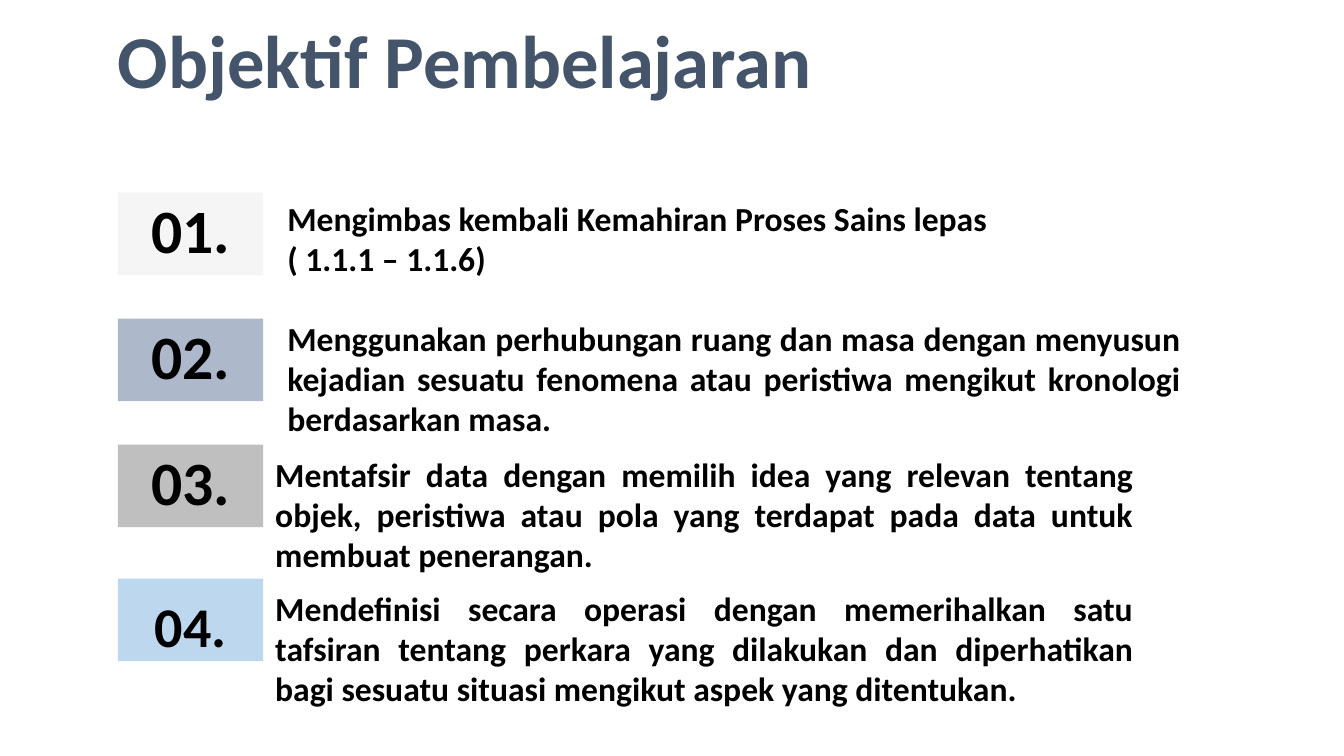
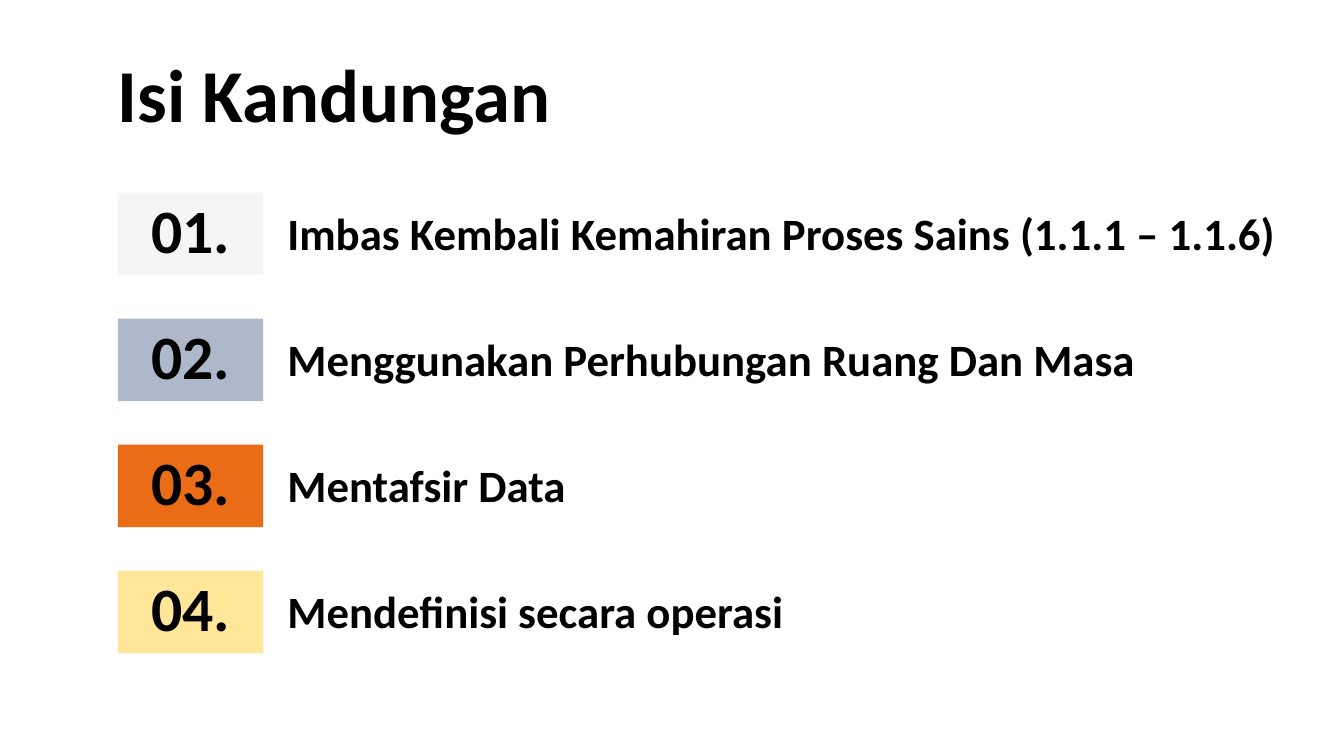
"""Build the learning objectives and contents slides of a science lesson."""
from dataclasses import dataclass

from pptx import Presentation
from pptx.dml.color import RGBColor
from pptx.enum.shapes import MSO_SHAPE as Shape
from pptx.enum.text import MSO_ANCHOR as Anchor, PP_ALIGN as Align
from pptx.text.text import TextFrame
from pptx.util import Pt

EMU_PER_PX = 9144
SLIDE_W, SLIDE_H = 1333, 750
INSET = 13
FONT = "Calibri"
COLORS = {
    "black": "000000",
    "slate": "44546A",
    "pale": "F5F5F5",
    "steel": "ADB9CA",
    "grey": "BFBFBF",
    "sky": "BDD7EE",
    "orange": "EB6C17",
    "yellow": "FFE699",
}
TITLE_X, TITLE_W, TITLE_H = 104, 1125, 94
BADGE_X, BADGE_W, BADGE_H = 117, 144, 82
ROW_TOP, ROW_STEP = 191, 125


@dataclass(frozen=True)
class Box:
    x: int
    y: int
    w: int
    h: int

    def emu(self) -> tuple[int, ...]:
        return tuple(px * EMU_PER_PX for px in (self.x, self.y, self.w, self.h))


@dataclass(frozen=True)
class TextStyle:
    size: float
    color: str = "black"
    align: Align = Align.LEFT
    spacing: float = 1.0
    anchor: Anchor = Anchor.TOP


@dataclass(frozen=True)
class Item:
    text: str
    box: Box
    badge_color: str
    badge_drop: int = 0
    badge_size: int = 44
    badge_spacing: float = 0.9


@dataclass(frozen=True)
class Page:
    title: str
    title_y: int
    title_color: str
    item_style: TextStyle
    items: tuple[Item, ...]


def row_y(index: int) -> int:
    return ROW_TOP + index * ROW_STEP


OBJECTIVES = Page(
    "Objektif Pembelajaran", 11, "slate", TextStyle(24, align=Align.JUSTIFY),
    (
        Item("Mengimbas kembali Kemahiran Proses Sains lepas\n( 1.1.1 – 1.1.6)",
             Box(272, 183, 877, 115), "pale"),
        Item("Menggunakan perhubungan ruang dan masa dengan menyusun kejadian "
             "sesuatu fenomena atau peristiwa mengikut kronologi berdasarkan masa.",
             Box(272, 302, 912, 82), "steel"),
        Item("Mentafsir data dengan memilih idea yang relevan tentang objek, "
             "peristiwa atau pola yang terdapat pada data untuk membuat penerangan.",
             Box(260, 437, 877, 145), "grey"),
        Item("Mendefinisi secara operasi dengan memerihalkan satu tafsiran tentang "
             "perkara yang dilakukan dan diperhatikan bagi sesuatu situasi mengikut "
             "aspek yang ditentukan.",
             Box(260, 570, 877, 145), "sky", 8, 40, 1.15),
    ),
)
CONTENTS = Page(
    "Isi Kandungan", 45, "black", TextStyle(32),
    (
        Item("Imbas Kembali Kemahiran Proses Sains (1.1.1 – 1.1.6)",
             Box(272, row_y(0), 1045, 82), "pale"),
        Item("Menggunakan Perhubungan Ruang Dan Masa",
             Box(272, row_y(1), 968, 82), "steel"),
        Item("Mentafsir Data", Box(272, row_y(2), 615, 117), "orange"),
        Item("Mendefinisi secara operasi", Box(272, row_y(3), 615, 117), "yellow"),
    ),
)


def rgb(name: str) -> RGBColor:
    return RGBColor.from_string(COLORS[name])


def write(frame: TextFrame, text: str, style: TextStyle) -> None:
    frame.word_wrap = True
    frame.vertical_anchor = style.anchor
    frame.margin_left = frame.margin_right = INSET * EMU_PER_PX
    frame.margin_top = frame.margin_bottom = INSET * EMU_PER_PX
    frame.text = text
    for paragraph in frame.paragraphs:
        paragraph.alignment = style.align
        paragraph.line_spacing = style.spacing
        for run in paragraph.runs:
            run.font.name = FONT
            run.font.size = Pt(style.size)
            run.font.bold = True
            run.font.color.rgb = rgb(style.color)


def add_text(slide, text: str, box: Box, style: TextStyle) -> None:
    write(slide.shapes.add_textbox(*box.emu()).text_frame, text, style)


def add_badge(slide, index: int, item: Item) -> None:
    box = Box(BADGE_X, row_y(index) + item.badge_drop, BADGE_W, BADGE_H)
    badge = slide.shapes.add_shape(Shape.RECTANGLE, *box.emu())
    badge.shadow.inherit = False
    badge.fill.solid()
    badge.fill.fore_color.rgb = rgb(item.badge_color)
    badge.line.fill.background()
    style = TextStyle(item.badge_size, align=Align.CENTER,
                      spacing=item.badge_spacing, anchor=Anchor.MIDDLE)
    write(badge.text_frame, f"{index + 1:02}.", style)


def add_page(deck, page: Page) -> None:
    slide = deck.slides.add_slide(deck.slide_layouts[6])
    add_text(slide, page.title, Box(TITLE_X, page.title_y, TITLE_W, TITLE_H),
             TextStyle(53.3, page.title_color, spacing=0.9))
    for index, item in enumerate(page.items):
        add_badge(slide, index, item)
        add_text(slide, item.text, item.box, page.item_style)


def main() -> None:
    deck = Presentation()
    deck.slide_width = SLIDE_W * EMU_PER_PX
    deck.slide_height = SLIDE_H * EMU_PER_PX
    for page in (OBJECTIVES, CONTENTS):
        add_page(deck, page)
    deck.save("out.pptx")


if __name__ == "__main__":
    main()
